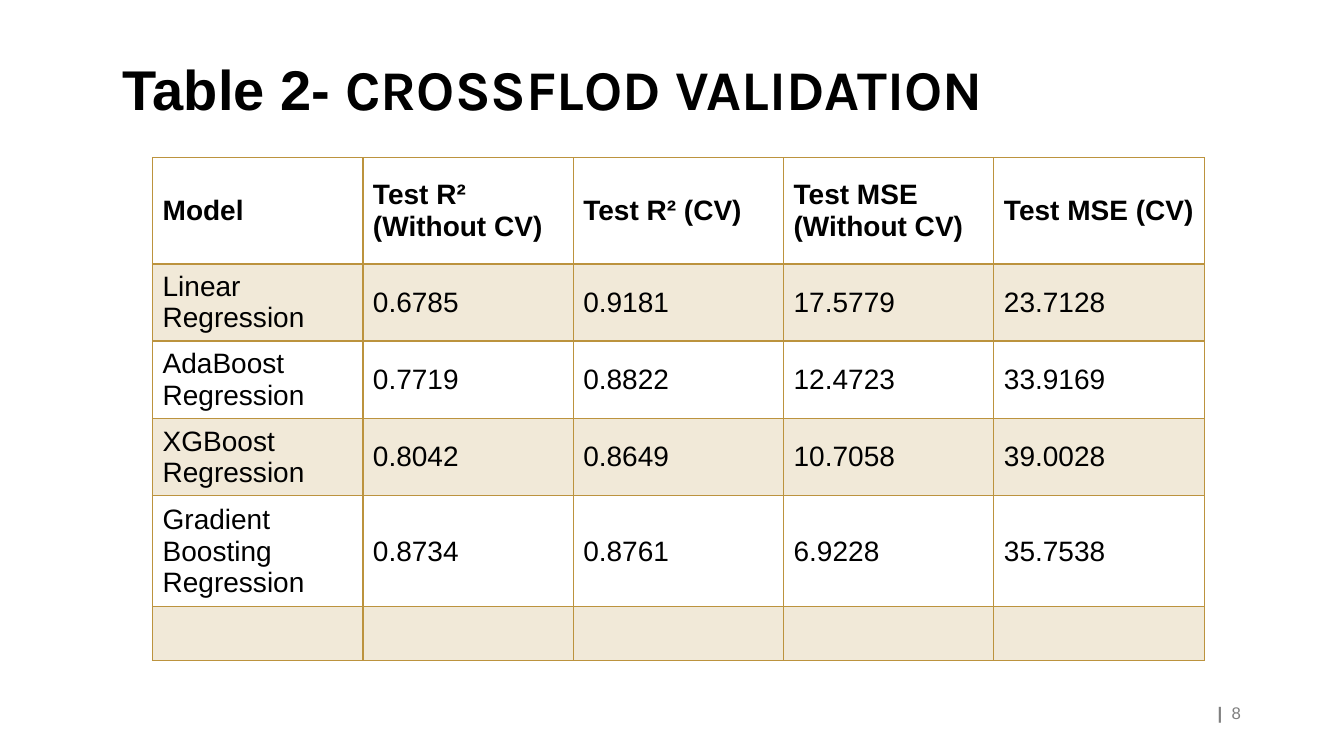
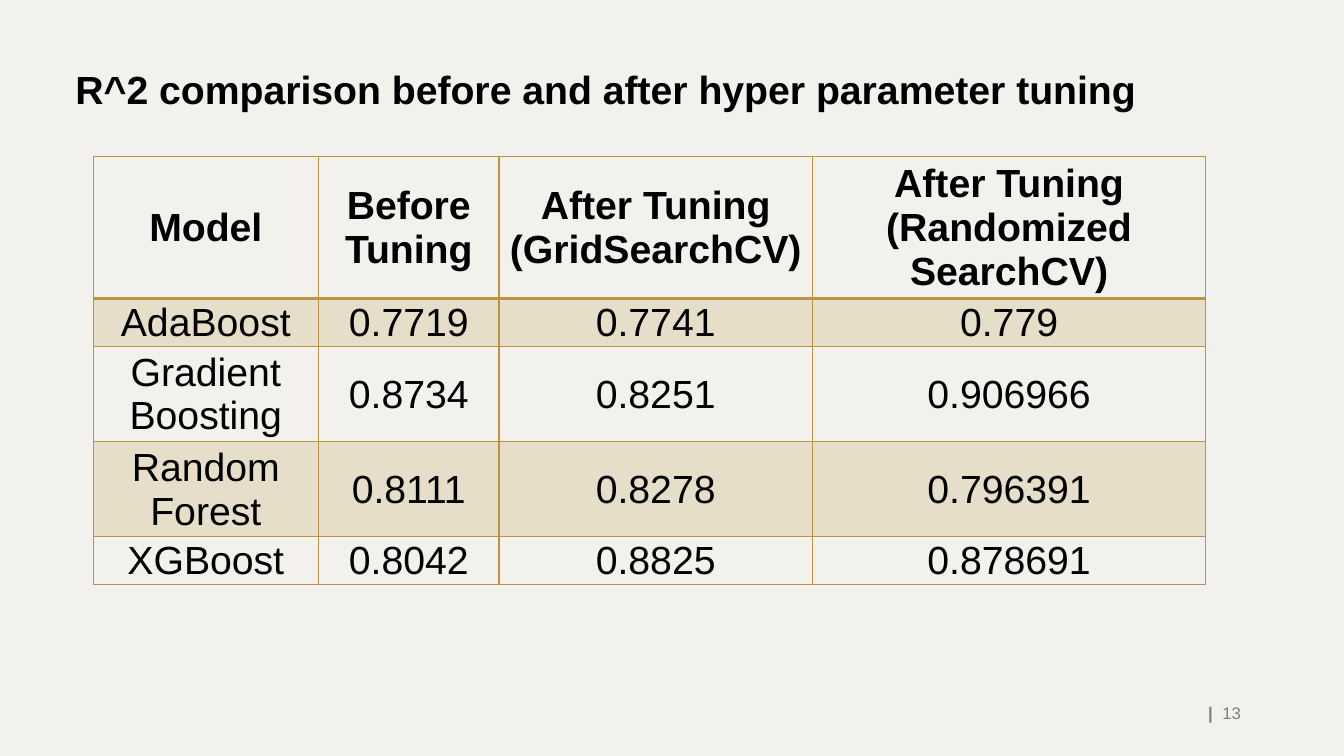
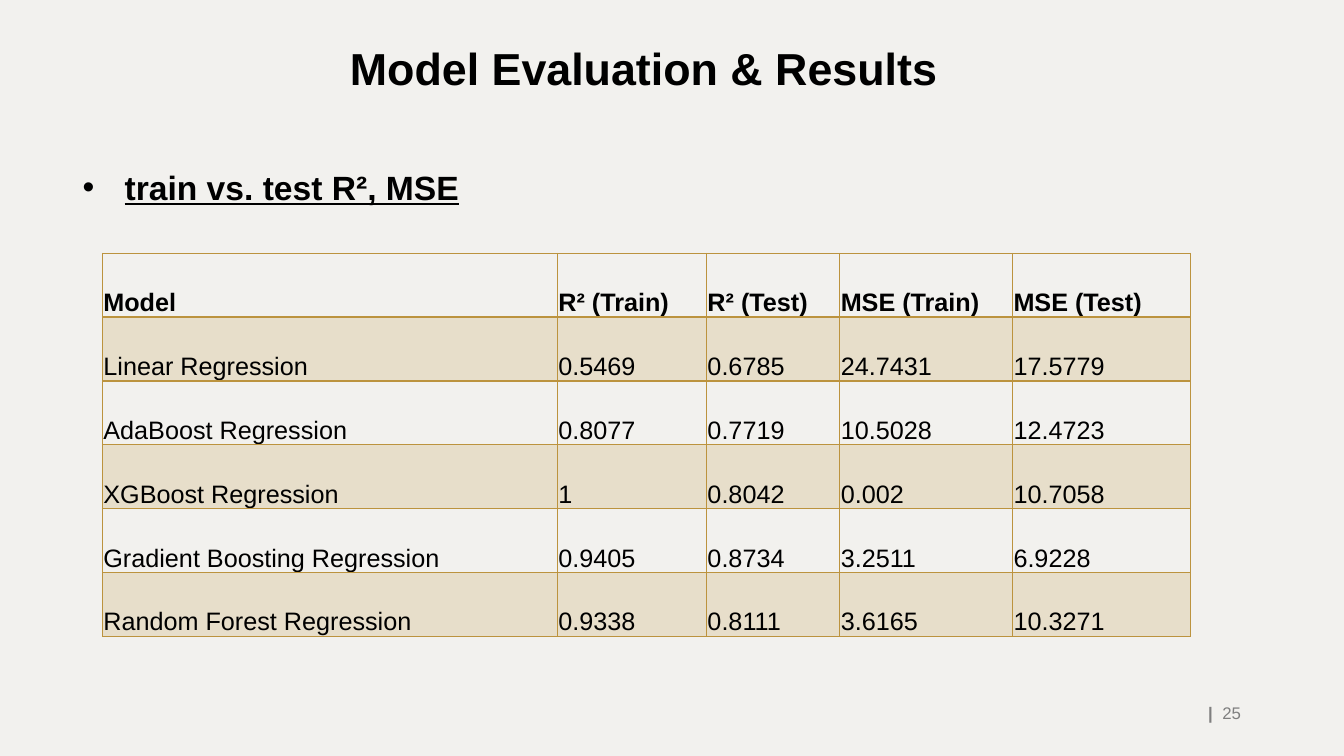
from dataclasses import dataclass
from typing import Any

from lxml import etree
from pptx import Presentation
from pptx.dml.color import RGBColor
from pptx.enum.text import MSO_ANCHOR, PP_ALIGN
from pptx.oxml.ns import qn
from pptx.util import Pt

TOP, MIDDLE, BOTTOM = MSO_ANCHOR.TOP, MSO_ANCHOR.MIDDLE, MSO_ANCHOR.BOTTOM
LEFT, CENTER, RIGHT, JUSTIFY = PP_ALIGN.LEFT, PP_ALIGN.CENTER, PP_ALIGN.RIGHT, PP_ALIGN.JUSTIFY

COLORS = {
    "white": "FFFFFF",
    "paper": "F2F1EE",
    "black": "000000",
    "gray": "7F7F7F",
    "gold": "BC933E",
}
BAND_ALPHA = 20
BLANK_LAYOUT = 6
ROOMY_MARGINS = (7.2, 3.6, 7.2, 3.6)
TIGHT_MARGINS = (0.7, 0.7, 0.7, 0)


@dataclass(frozen=True)
class Box:
    left: float
    top: float
    width: float
    height: float

    def lengths(self) -> list[Pt]:
        return [Pt(value) for value in (self.left, self.top, self.width, self.height)]


@dataclass(frozen=True)
class TextRun:
    text: str
    size: float
    bold: bool = True
    name: str = "Arial"
    color: str = "black"
    underline: bool | None = None


@dataclass(frozen=True)
class TableSpec:
    left: float
    top: float
    columns: tuple[float, ...]
    rows: tuple[float, ...]
    size: float
    cells: tuple[tuple[str, ...], ...]
    align: Any = LEFT
    anchor: Any = MIDDLE
    margins: tuple[float, ...] = TIGHT_MARGINS


@dataclass(frozen=True)
class SlideSpec:
    background: str
    number: int
    title_box: Box
    title: tuple[TextRun, ...]
    table: TableSpec
    title_align: Any = LEFT
    bullet: str = ""


FOOTER_BOX = Box(850.3, 494.6, 43.2, 29.5)
BULLET_BOX = Box(46, 118.8, 828, 363)

SLIDES = (
    SlideSpec(
        "white", 8, Box(80.6, 23.8, 828, 67),
        (TextRun("Table 2- ", 40), TextRun("CROSSFLOD VALIDATION", 40, name="Karla")),
        TableSpec(
            109, 112.7, (150.25,) * 5, (75.7, 53.6, 53.6, 53.6, 75.7, 38.4), 20,
            (
                ("Model", "Test R² (Without CV)", "Test R² (CV)",
                 "Test MSE (Without CV)", "Test MSE (CV)"),
                ("Linear Regression", "0.6785", "0.9181", "17.5779", "23.7128"),
                ("AdaBoost Regression", "0.7719", "0.8822", "12.4723", "33.9169"),
                ("XGBoost Regression", "0.8042", "0.8649", "10.7058", "39.0028"),
                ("Gradient Boosting Regression", "0.8734", "0.8761", "6.9228", "35.7538"),
                ("",) * 5,
            ),
            margins=ROOMY_MARGINS,
        ),
    ),
    SlideSpec(
        "paper", 13, Box(46.8, 20.9, 828, 63.4),
        (TextRun("R^2 comparison before and after hyper parameter tuning", 28),),
        TableSpec(
            66.5, 111.6, (161, 129, 223.8, 281), (94.3, 31.5, 63.2, 63.2, 31.5), 28,
            (
                ("Model", "Before Tuning", "After Tuning (GridSearchCV)",
                 "After Tuning (Randomized\nSearchCV)"),
                ("AdaBoost", "0.7719", "0.7741", "0.779"),
                ("Gradient Boosting", "0.8734", "0.8251", "0.906966"),
                ("Random Forest", "0.8111", "0.8278", "0.796391"),
                ("XGBoost", "0.8042", "0.8825", "0.878691"),
            ),
            align=CENTER,
        ),
    ),
    SlideSpec(
        "paper", 25, Box(46, 22.3, 828, 49),
        (TextRun("Model Evaluation & Results", 32),),
        TableSpec(
            73.2, 181, (325, 106.5, 95.2, 123.4, 127.2), (45.6,) * 6, 18,
            (
                ("Model", "R² (Train)", "R² (Test)", "MSE (Train)", "MSE (Test)"),
                ("Linear Regression", "0.5469", "0.6785", "24.7431", "17.5779"),
                ("AdaBoost Regression", "0.8077", "0.7719", "10.5028", "12.4723"),
                ("XGBoost Regression", "1", "0.8042", "0.002", "10.7058"),
                ("Gradient Boosting Regression", "0.9405", "0.8734", "3.2511", "6.9228"),
                ("Random Forest Regression", "0.9338", "0.8111", "3.6165", "10.3271"),
            ),
            align=JUSTIFY, anchor=BOTTOM,
        ),
        title_align=CENTER, bullet="train vs. test R², MSE",
    ),
)


def rgb(color: str) -> RGBColor:
    return RGBColor.from_string(COLORS[color])


def apply(target: Any, formats: dict[str, Any]) -> None:
    for attribute, value in formats.items():
        setattr(target, attribute, value)


def margin_formats(margins: tuple[float, ...]) -> dict[str, Any]:
    sides = ("margin_left", "margin_top", "margin_right", "margin_bottom")
    return {side: Pt(margin) for side, margin in zip(sides, margins)}


def add_run(paragraph: Any, text_run: TextRun) -> None:
    run = paragraph.add_run()
    run.text = text_run.text
    apply(run.font, {
        "size": Pt(text_run.size), "name": text_run.name,
        "bold": text_run.bold, "underline": text_run.underline,
    })
    run.font.color.rgb = rgb(text_run.color)


def add_text(slide: Any, box: Box, runs: tuple[TextRun, ...], anchor: Any,
             formats: dict[str, Any]) -> Any:
    frame = slide.shapes.add_textbox(*box.lengths()).text_frame
    apply(frame, {"word_wrap": True, "vertical_anchor": anchor, **margin_formats(ROOMY_MARGINS)})
    paragraph = frame.paragraphs[0]
    apply(paragraph, formats)
    for text_run in runs:
        add_run(paragraph, text_run)
    return paragraph


def add_bullet(slide: Any, text: str) -> None:
    paragraph = add_text(slide, BULLET_BOX, (TextRun(text, 24, underline=True),), TOP,
                         {"line_spacing": 0.9, "space_before": Pt(10)})
    properties = paragraph._p.get_or_add_pPr()
    properties.set("marL", str(Pt(36)))
    properties.set("indent", str(-Pt(30)))
    color = etree.SubElement(properties, qn("a:buClr"))
    etree.SubElement(color, qn("a:srgbClr"), val=COLORS["black"])
    etree.SubElement(properties, qn("a:buFont"), typeface="Arial")
    etree.SubElement(properties, qn("a:buChar"), char="•")


def fill_cell(cell: Any, banded: bool) -> None:
    if not banded:
        cell.fill.background()
        return
    cell.fill.solid()
    cell.fill.fore_color.rgb = rgb("gold")
    color = cell._tc.tcPr.find(".//" + qn("a:srgbClr"))
    etree.SubElement(color, qn("a:alpha"), val=str(BAND_ALPHA * 1000))


def add_borders(cell: Any, row_index: int) -> None:
    widths = {"L": 1, "R": 1, "T": 2 if row_index == 1 else 1, "B": 2 if row_index == 0 else 1}
    properties = cell._tc.get_or_add_tcPr()
    for position, (side, width) in enumerate(widths.items()):
        line = etree.Element(qn(f"a:ln{side}"), w=str(Pt(width)))
        fill = etree.SubElement(line, qn("a:solidFill"))
        etree.SubElement(fill, qn("a:srgbClr"), val=COLORS["gold"])
        properties.insert(position, line)


def fill_text(cell: Any, text: str, spec: TableSpec, bold: bool) -> None:
    apply(cell, {"vertical_anchor": spec.anchor, **margin_formats(spec.margins)})
    frame = cell.text_frame
    for index, line in enumerate(text.split("\n")):
        paragraph = frame.add_paragraph() if index else frame.paragraphs[0]
        paragraph.alignment = spec.align
        if line:
            add_run(paragraph, TextRun(line, spec.size, bold))


def add_data_table(slide: Any, spec: TableSpec) -> None:
    box = Box(spec.left, spec.top, sum(spec.columns), sum(spec.rows))
    table = slide.shapes.add_table(len(spec.rows), len(spec.columns), *box.lengths()).table
    apply(table, {"first_row": False, "horz_banding": False})
    for column, width in zip(table.columns, spec.columns):
        column.width = Pt(width)
    for row_index, (row, height) in enumerate(zip(table.rows, spec.rows)):
        row.height = Pt(height)
        for cell, text in zip(row.cells, spec.cells[row_index]):
            fill_text(cell, text, spec, row_index == 0)
            fill_cell(cell, row_index % 2 == 1)
            add_borders(cell, row_index)


def add_slide(presentation: Any, spec: SlideSpec) -> None:
    slide = presentation.slides.add_slide(presentation.slide_layouts[BLANK_LAYOUT])
    slide.background.fill.solid()
    slide.background.fill.fore_color.rgb = rgb(spec.background)
    add_text(slide, spec.title_box, spec.title, BOTTOM,
             {"alignment": spec.title_align, "line_spacing": 0.9})
    if spec.bullet:
        add_bullet(slide, spec.bullet)
    footer = (TextRun("|  ", 12, color="gray"),
              TextRun(str(spec.number), 12, bold=False, color="gray"))
    add_text(slide, FOOTER_BOX, footer, MIDDLE, {"alignment": RIGHT})
    add_data_table(slide, spec.table)


def main() -> None:
    presentation = Presentation()
    apply(presentation, {"slide_width": Pt(960), "slide_height": Pt(540)})
    for spec in SLIDES:
        add_slide(presentation, spec)
    presentation.save("out.pptx")


if __name__ == "__main__":
    main()
